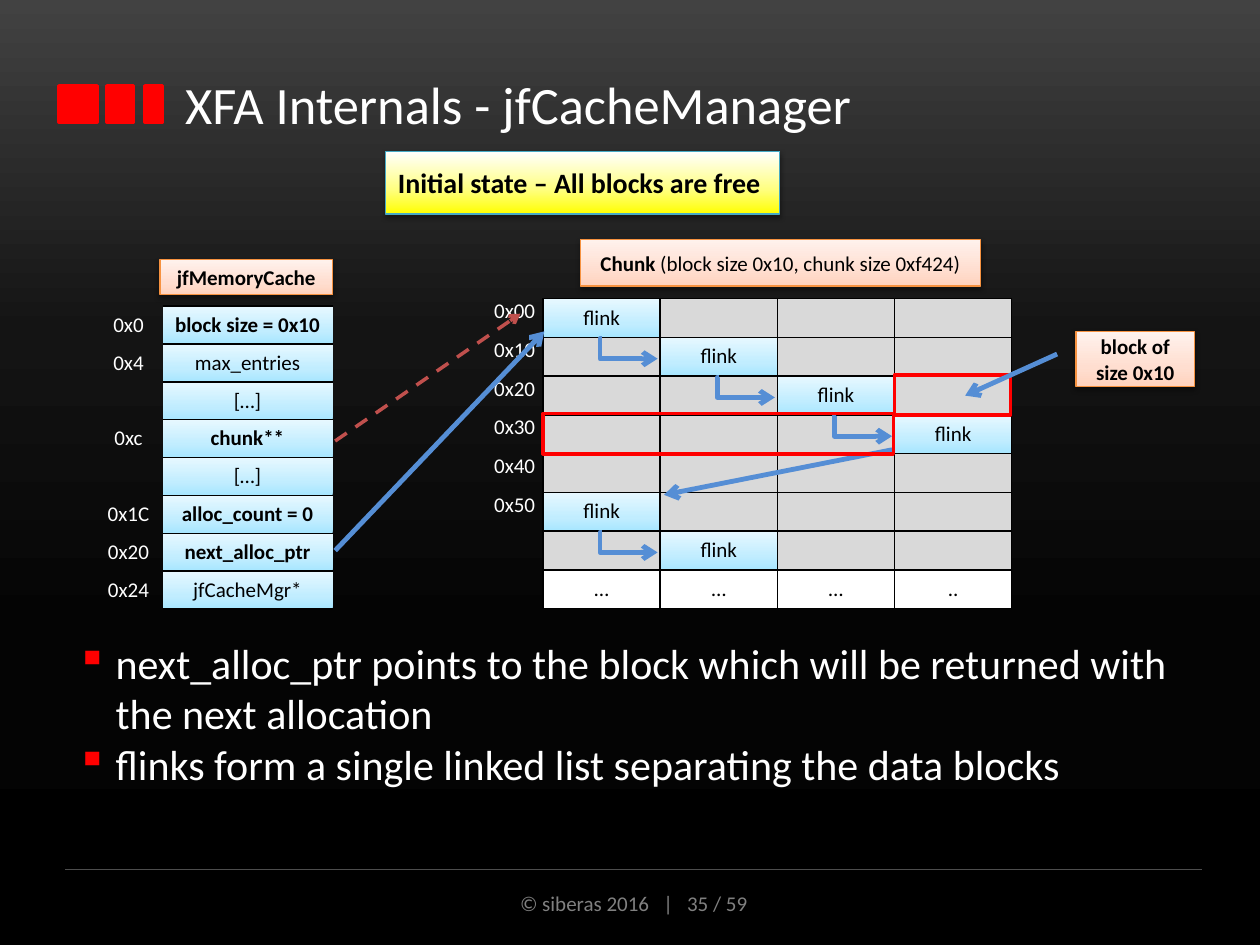
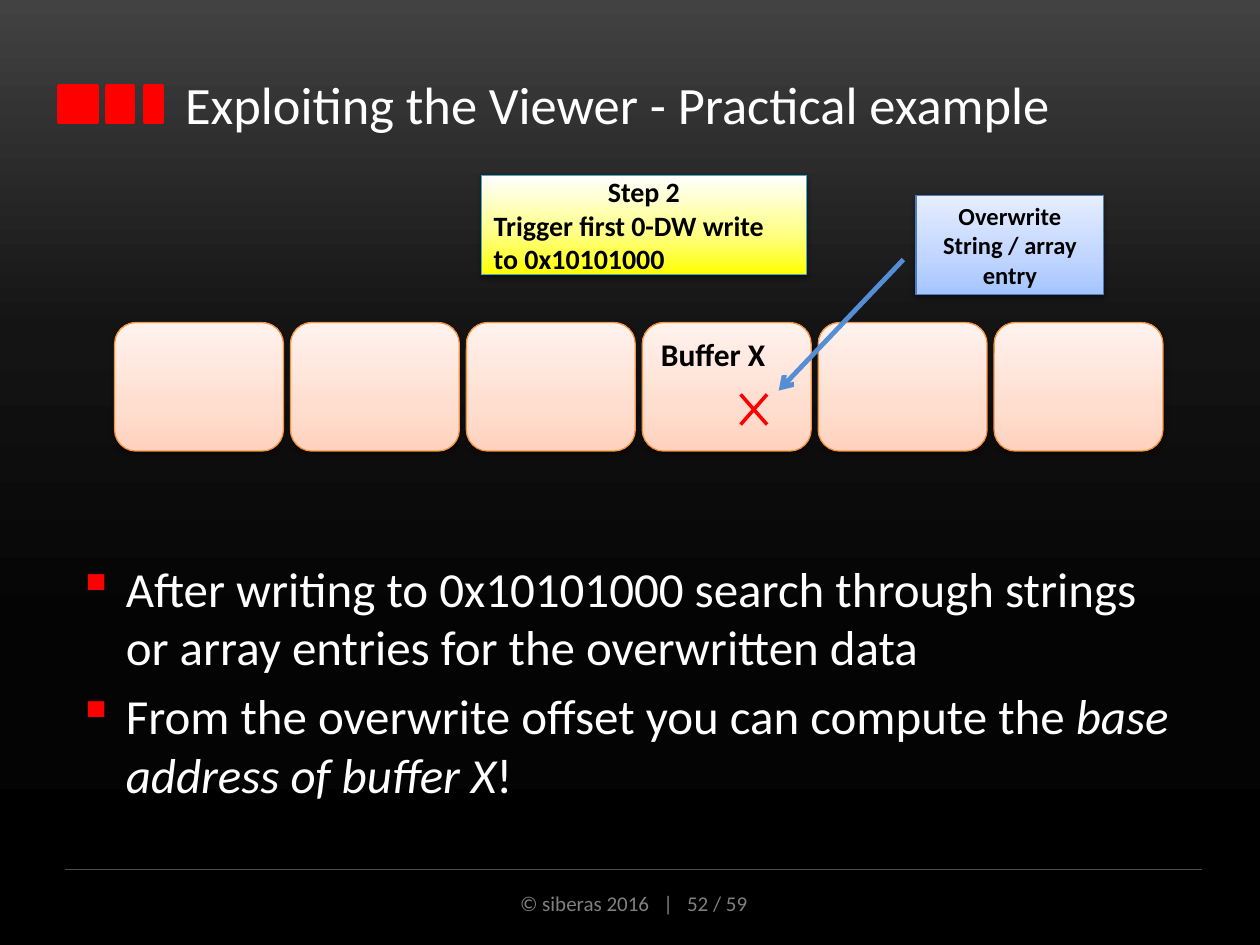
from collections import namedtuple
from dataclasses import dataclass

from lxml import etree
from pptx import Presentation
from pptx.dml.color import RGBColor
from pptx.enum.dml import MSO_LINE
from pptx.enum.shapes import MSO_CONNECTOR, MSO_SHAPE
from pptx.enum.text import MSO_ANCHOR, PP_ALIGN
from pptx.oxml.ns import qn
from pptx.util import Inches, Pt

RECT, ROUNDED = MSO_SHAPE.RECTANGLE, MSO_SHAPE.ROUNDED_RECTANGLE
STRAIGHT, ELBOW = MSO_CONNECTOR.STRAIGHT, MSO_CONNECTOR.ELBOW
TOP, MIDDLE = MSO_ANCHOR.TOP, MSO_ANCHOR.MIDDLE
LEFT, CENTER = PP_ALIGN.LEFT, PP_ALIGN.CENTER
DASH = MSO_LINE.DASH

Box = namedtuple("Box", "left top width height")


@dataclass(frozen=True)
class Theme:
    font: str = "Calibri"
    title: int = 30
    label: int = 12
    note: int = 14
    callout: int = 16
    buffer: int = 18
    white: str = "FFFFFF"
    black: str = "000000"
    red: str = "FF0000"
    grey: str = "808080"
    rule: str = "4D4D4D"
    free: str = "D9D9D9"
    arrow: str = "558ED5"
    dashed: str = "C0504D"
    # Gradients run along their angle, given counter-clockwise
    backdrop: tuple = ((0, "424242"), (35, "141414"), (67, "040404"), (100, "000000"))
    sky: tuple = ((0, "A7E6FF"), (35, "C1EDFF"), (100, "E7F8FF"))
    peach: tuple = ((0, "FFD2BD"), (35, "FFDED0"), (100, "FFF2ED"))
    yellow: tuple = ((0, "FFFF00"), (39, "FFFF80"), (100, "FFFFFF"))
    blue: tuple = ((0, "A4C4FF"), (35, "BFD4FF"), (100, "E6EEFF"))
    peach_line: str = "F69240"
    yellow_line: str = "46AAC5"
    blue_line: str = "4B7EBC"


THEME = Theme()


def rgb(value):
    return RGBColor.from_string(value)


def inches(*values):
    return [Inches(value) for value in values]


def sub(parent, tag, **attributes):
    return etree.SubElement(parent, qn(tag), attributes)


def paint(fill, element, color, angle=90):
    """Fill with a plain colour, a tuple of gradient stops, or nothing."""
    if color is None:
        fill.background()
    elif isinstance(color, str):
        fill.solid()
        fill.fore_color.rgb = rgb(color)
    else:
        fill.gradient()
        fill.gradient_angle = angle
        stops = next(element.iter(qn("a:gsLst")))
        for stop in list(stops):
            stops.remove(stop)
        for position, stop_color in color:
            stop = sub(stops, "a:gs", pos=str(position * 1000))
            sub(stop, "a:srgbClr", val=stop_color)


def write(frame, paragraphs, size, color=THEME.white, align=LEFT, anchor=TOP):
    """Each paragraph is a list of (text, style) spans; style is "", "b" or "i"."""
    frame.word_wrap = True
    frame.vertical_anchor = anchor
    for index, spans in enumerate(paragraphs):
        paragraph = frame.add_paragraph() if index else frame.paragraphs[0]
        paragraph.alignment = align
        for text, style in spans:
            run = paragraph.add_run()
            run.text = text
            font = run.font
            font.name, font.size, font.color.rgb = THEME.font, Pt(size), rgb(color)
            font.bold, font.italic = style == "b", style == "i"


def text_box(slide, box, paragraphs, size, **options):
    frame = slide.shapes.add_textbox(*inches(*box)).text_frame
    write(frame, paragraphs, size, **options)
    return frame


def block(slide, box, fill, line, width=0.75, kind=RECT):
    shape = slide.shapes.add_shape(kind, *inches(*box))
    shape.shadow.inherit = False
    paint(shape.fill, shape._element, fill)
    shape.line.color.rgb = rgb(line)
    shape.line.width = Pt(width)
    return shape


def panel(slide, box, fill, line, paragraphs=(), size=THEME.label,
          align=CENTER, anchor=MIDDLE, kind=RECT):
    """Gradient block with a soft drop shadow and black text."""
    shape = block(slide, box, fill, line, kind=kind)
    effects = shape._element.spPr.find(qn("a:effectLst"))
    shadow = sub(effects, "a:outerShdw", blurRad=str(Pt(3.1)), dist=str(Pt(1.6)),
                 dir="5400000", rotWithShape="0")
    sub(sub(shadow, "a:srgbClr", val=THEME.black), "a:alpha", val="38000")
    write(shape.text_frame, paragraphs, size, THEME.black, align, anchor)
    return shape


def connect(shapes, start, end, color=THEME.arrow, width=2.75, arrow=True,
            dash=None, kind=STRAIGHT):
    connector = shapes.add_connector(kind, *inches(*start, *end))
    connector.line.color.rgb = rgb(color)
    connector.line.width = Pt(width)
    if dash:
        connector.line.dash_style = dash
    if arrow:
        sub(connector.line._get_or_add_ln(), "a:tailEnd", type="arrow")
    sub(connector._element.spPr, "a:effectLst")
    return connector


def bullets(slide, box, paragraphs, size, indent, space=0):
    frame = text_box(slide, box, paragraphs, size)
    for index, paragraph in enumerate(frame.paragraphs):
        properties = paragraph._p.get_or_add_pPr()
        properties.set("marL", str(Inches(indent)))
        properties.set("indent", str(Inches(-indent)))
        sub(sub(properties, "a:buClr"), "a:srgbClr", val=THEME.red)
        sub(properties, "a:buChar", char="▪")
        if index and space:
            paragraph.space_before = Pt(space)


def plain_table(slide, box, rows, widths):
    table = slide.shapes.add_table(rows, len(widths), *inches(*box)).table
    table.first_row = table.horz_banding = False
    # "No Style, No Grid"
    style = next(table._tbl.iter(qn("a:tableStyleId")))
    style.text = "{2D5ABB26-0587-4C30-8999-92F81FD0307C}"
    for column, width in zip(table.columns, widths):
        column.width = Inches(width)
    for row in table.rows:
        row.height = Inches(box.height / rows)
    return table


def fill_cell(cell, text, fill=None, style="", color=THEME.black, margin=0,
              anchor=MIDDLE, borders=""):
    cell.margin_left = cell.margin_right = Inches(margin)
    cell.margin_top = cell.margin_bottom = Inches(margin)
    cell.vertical_anchor = anchor
    paint(cell.fill, cell._tc, fill)
    if text:
        write(cell.text_frame, [[(text, style)]], THEME.label, color, CENTER, anchor)
    else:
        ending = cell.text_frame.paragraphs[0]._p.get_or_add_endParaRPr()
        ending.set("sz", str(THEME.label * 100))
    properties = cell._tc.get_or_add_tcPr()
    for index, side in enumerate(borders):
        line = etree.Element(qn("a:ln" + side), w=str(Pt(1)))
        sub(sub(line, "a:solidFill"), "a:srgbClr", val=THEME.black)
        properties.insert(index, line)


def new_slide(deck, title, number):
    """Backdrop, title with red marks, and footer."""
    slide = deck.slides.add_slide(deck.slide_layouts[6])
    paint(slide.background.fill, slide._element, THEME.backdrop, 270)
    for left, width in ((0.47, 0.3), (0.85, 0.21), (1.15, 0.14)):
        block(slide, Box(left, 0.68, width, 0.29), THEME.red, THEME.red, 2)
    text_box(slide, Box(1.37, 0.39, 8.12, 0.87), [[(title, "")]], THEME.title,
             anchor=MIDDLE)
    connect(slide.shapes, (0.52, 6.9), (9.54, 6.9), THEME.rule, 0.75, False)
    text_box(slide, Box(3.37, 7.02, 3.32, 0.3),
             [[(f"© siberas 2016   |   {number} / 59", "")]], THEME.label,
             color=THEME.grey, align=CENTER)
    return slide


def memory_cache(slide, box):
    """Structure fields with their offsets, under a caption."""
    fields = (("0x0", "block size = 0x10", "b"), ("0x4", "max_entries", ""),
              ("", "[…]", ""), ("0xc", "chunk**", "b"), ("", "[…]", ""),
              ("0x1C", "alloc_count = 0", "b"), ("0x20", "next_alloc_ptr", "b"),
              ("0x24", "jfCacheMgr*", ""))
    offset_width = 0.54
    field_width = box.width - offset_width
    table = plain_table(slide, box, len(fields), (offset_width, field_width))
    for row, (offset, field, style) in enumerate(fields):
        fill_cell(table.cell(row, 0), offset, color=THEME.white, margin=0.05, anchor=TOP)
        fill_cell(table.cell(row, 1), field, THEME.sky, style, margin=0.05, borders="TB")
    panel(slide, Box(box.left + offset_width - 0.02, box.top - 0.37, field_width + 0.02, 0.28),
          THEME.peach, THEME.peach_line, [[("jfMemoryCache", "b")]])


def chunk(slide, box):
    """Grid of blocks whose flinks form the free list."""
    offsets = ("0x00", "0x10", "0x20", "0x30", "0x40", "0x50", "", "")
    flinks = ((0, 0), (1, 1), (2, 2), (3, 3), (5, 0), (6, 1))
    tail = ("…", "…", "…", "..")
    offset_width, cell_width = 0.45, 0.93
    cell_height = box.height / len(offsets)
    table = plain_table(slide, box, len(offsets), [offset_width] + [cell_width] * 4)
    for row, offset in enumerate(offsets):
        fill_cell(table.cell(row, 0), offset, color=THEME.white, anchor=TOP)
        for column in range(4):
            if row == len(offsets) - 1:
                text, fill = tail[column], THEME.white
            elif (row, column) in flinks:
                text, fill = "flink", THEME.sky
            else:
                text, fill = "", THEME.free
            fill_cell(table.cell(row, column + 1), text, fill, borders="LRTB")

    def corner(row, column):
        return box.left + offset_width + column * cell_width, box.top + row * cell_height

    # Links to the next free block
    for (row, column), (next_row, next_column) in zip(flinks, flinks[1:]):
        x, y = corner(row + 1, column)
        next_x, next_y = corner(next_row, next_column)
        if next_column > column:
            link = connect(slide.shapes, (x + cell_width / 2, y + 0.01),
                           (next_x - 0.02, y + 0.17), kind=ELBOW)
            guides = next(link._element.iter(qn("a:avLst")))
            sub(guides, "a:gd", name="adj1", fmla="val -2800")
        else:
            connect(slide.shapes, (x - 0.02, y - 0.03),
                    (next_x + cell_width + 0.03, next_y + 0.02))

    # Outlined blocks of size 0x10
    for row, column, span in ((2, 3, 1), (3, 0, 3)):
        x, y = corner(row, column)
        block(slide, Box(x, y - 0.01, span * cell_width - 0.01, 0.32), None, THEME.red, 2)
    panel(slide, Box(box.left + 0.75, box.top - 0.47, 3.17, 0.37), THEME.peach, THEME.peach_line,
          [[("Chunk ", "b"), ("(block size 0x10, chunk size 0xf424)", "")]])


def cache_manager_slide(deck):
    slide = new_slide(deck, "XFA Internals - jfCacheManager", 35)
    cache = Box(0.75, 2.43, 1.89, 2.4)
    grid = Box(3.86, 2.37, 4.17, 2.46)
    memory_cache(slide, cache)
    chunk(slide, grid)
    # Pointers from the cache fields into the chunk
    field_right = cache.left + cache.width + 0.02
    connect(slide.shapes, (field_right, 4.37), (4.32, 2.63))
    connect(slide.shapes, (field_right, 3.5), (4.13, 2.49), THEME.dashed, 2, dash=DASH)
    # Callouts
    connect(slide.shapes, (8.39, 2.81), (7.66, 3.14))
    panel(slide, Box(8.54, 2.63, 0.94, 0.44), THEME.peach, THEME.peach_line,
          [[("block of size 0x10", "b")]])
    panel(slide, Box(3.06, 1.2, 3.13, 0.5), THEME.yellow, THEME.yellow_line,
          [[("Initial state – All blocks are free", "b")]], THEME.callout, LEFT)
    bullets(slide, Box(0.51, 5.01, 8.98, 1.31), [
        [("next_alloc_ptr points to the block which will be returned with "
          "the next allocation", "")],
        [("flinks form a single linked list separating the data blocks", "")],
    ], 24, 0.31)


def buffer_row(slide, box, count=6, named=3):
    """Evenly spaced buffers; the named one holds the overwritten spot."""
    width = 1.34
    pitch = (box.width - width) / (count - 1)
    for index in range(count):
        text = [[("Buffer X", "b")]] if index == named else ()
        panel(slide, Box(box.left + index * pitch, box.top, width, box.height), THEME.peach,
              THEME.peach_line, text, THEME.buffer, LEFT, TOP, ROUNDED)
    x, y = box.left + named * pitch + 0.78, box.top + 0.57
    cross = slide.shapes.add_group_shape().shapes
    for start, end in ((0, 0.24), (0.24, 0)):
        connect(cross, (x, y + start), (x + 0.21, y + end), THEME.red, 2, False)


def practical_example_slide(deck):
    slide = new_slide(deck, "Exploiting the Viewer - Practical example", 52)
    buffer_row(slide, Box(0.91, 2.56, 8.32, 1.02))
    # Step and overwrite callouts
    step = panel(slide, Box(3.82, 1.39, 2.58, 0.79), THEME.yellow, THEME.yellow_line,
                 [[("Step 2", "b")], [("Trigger first 0-DW write", "b")],
                  [("to 0x10101000", "b")]], THEME.callout, LEFT)
    step.text_frame.paragraphs[0].alignment = CENTER
    panel(slide, Box(7.27, 1.55, 1.49, 0.79), THEME.blue, THEME.blue_line,
          [[("Overwrite String / array entry", "b")]], THEME.note)
    connect(slide.shapes, (7.17, 2.06), (6.18, 3.1))
    bullets(slide, Box(0.52, 4.38, 9.02, 2.36), [
        [("After writing to 0x10101000 search through strings or array entries "
          "for the overwritten data", "")],
        [("From the overwrite offset you can compute the ", ""),
         ("base address of buffer X", "i"), ("!", "")],
    ], 28, 0.38, space=5.6)


def main():
    deck = Presentation()
    deck.slide_width, deck.slide_height = inches(10, 7.5)
    cache_manager_slide(deck)
    practical_example_slide(deck)
    deck.save("out.pptx")


if __name__ == "__main__":
    main()
